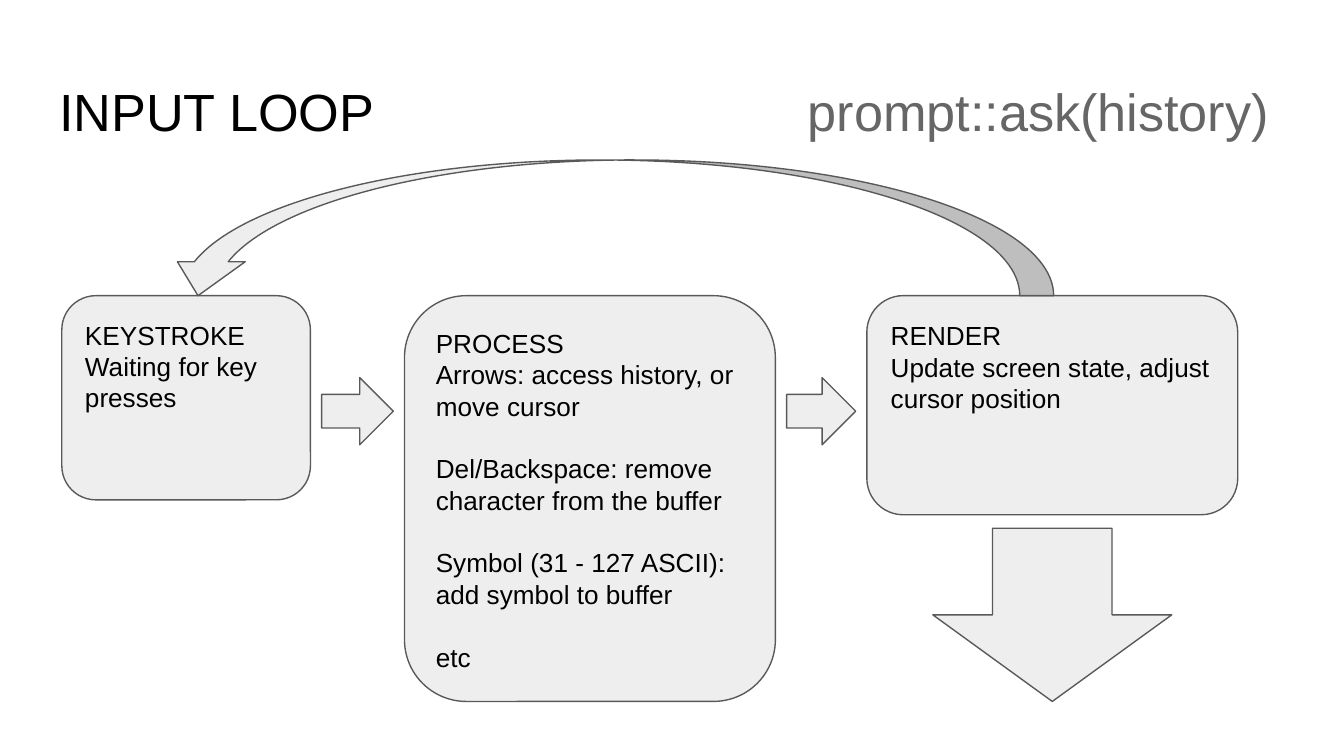
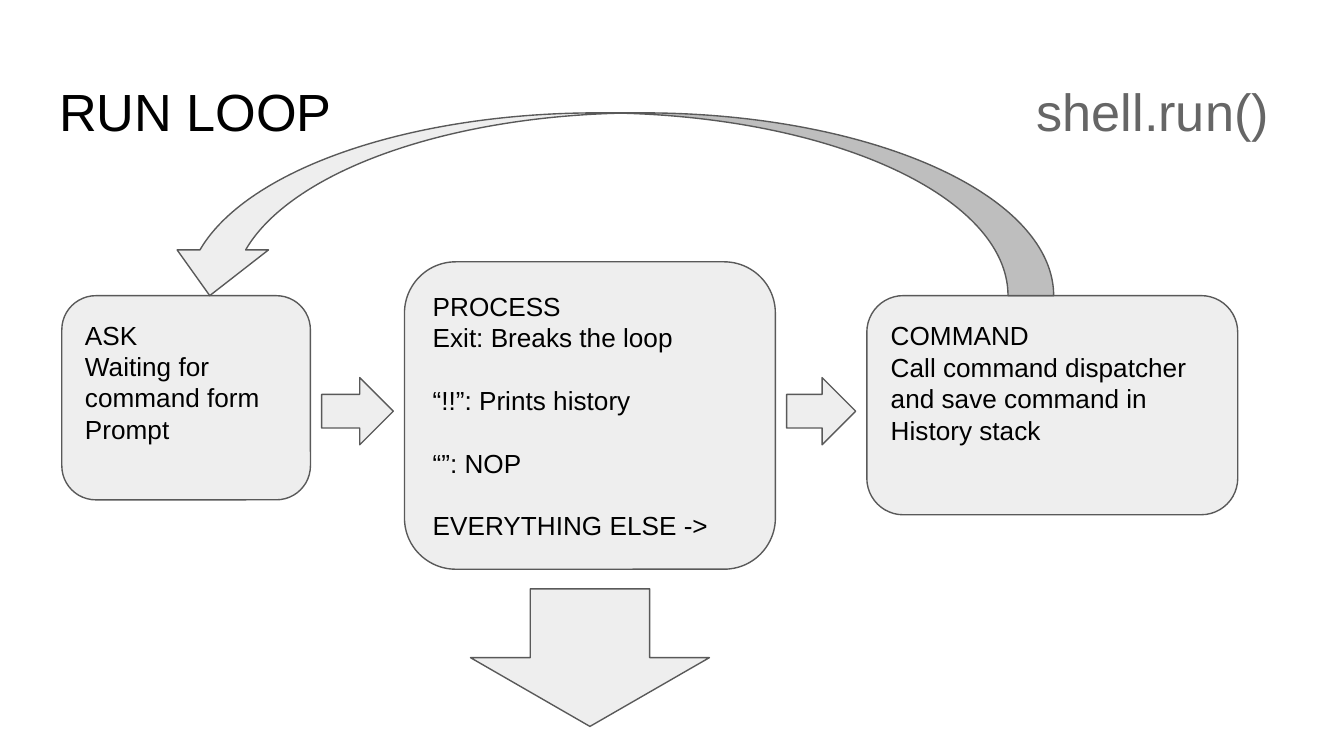
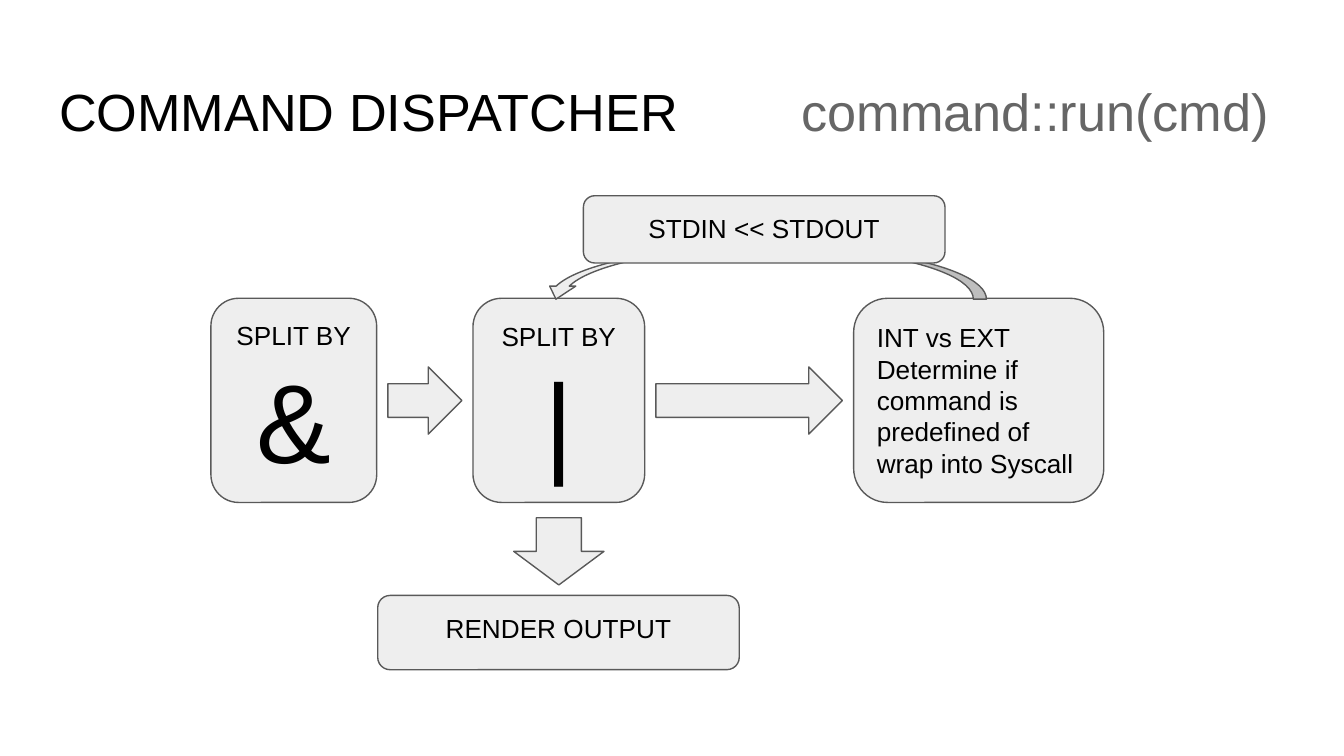
from lxml import etree
from pptx import Presentation
from pptx.dml import color
from pptx.enum import shapes, text
from pptx.oxml import ns
from pptx.util import Pt

COLORS = {"ink": "000000", "code": "666666", "fill": "EEEEEE", "line": "595959"}
FONT = "Arial"
BODY, SYMBOL, TITLE = 14, 60, 28
INSET = 7.2
GROUP_GAP = 16.8
ARROW_GAP = 6
ARROW_H = 36
CODE_TAB = 648
LABEL_W = 193.7
TITLE_BOX = (24.5, 35.3, 671, 45.4)
SHAPE = shapes.MSO_SHAPE

KEY_BOX = (33.1, 158.4, 133.2, 109.4)
RIGHT_BOX = (464.4, 158.4, 198.7, 117.4)

SLIDES = [
    {
        "title": ("INPUT LOOP", "prompt::ask(history)"),
        "steps": [
            (KEY_BOX, [["KEYSTROKE", "Waiting for key presses"]]),
            ((216.7, 158.4, 198.7, 217.4), [
                ["PROCESS", "Arrows: access history, or move cursor"],
                ["Del/Backspace: remove character from the buffer"],
                ["Symbol (31 - 127 ASCII): add symbol to buffer"],
                ["etc"],
            ]),
            (RIGHT_BOX, [["RENDER", "Update screen state, adjust cursor position"]]),
        ],
        "arrow_y": 220.3,
        "exit": {"step": 2, "top": 283, "size": (128, 92.8)},
        "loop": (87.9, 85.7, 476.6, 72.7),
        "labels": [],
    },
    {
        "title": ("RUN LOOP", "shell.run()"),
        "steps": [
            (KEY_BOX, [["ASK", "Waiting for command form Prompt"]]),
            ((216.7, 140.3, 198.7, 164.7), [
                ["PROCESS", "Exit: Breaks the loop"],
                ["“!!”: Prints history"],
                ["“”: NOP"],
                ["EVERYTHING ELSE ->"],
            ]),
            (RIGHT_BOX, [["COMMAND", "Call command dispatcher and save command in "
                          "History stack"]]),
        ],
        "arrow_y": 220.3,
        "exit": {"step": 1, "top": 315.5, "size": (128, 73.7)},
        "loop": (87.9, 60.5, 476.6, 97.9),
        "labels": [],
    },
    {
        "title": ("COMMAND DISPATCHER", "command::run(cmd)"),
        "steps": [
            ((113, 159.8, 88.8, 109.4), [["SPLIT BY", "&"]]),
            ((253.4, 159.8, 92, 109.4), [["SPLIT BY", "|"]]),
            ((457.3, 159.8, 134, 109.4), [
                ["INT vs EXT", "Determine if command is predefined of wrap into Syscall"],
            ]),
        ],
        "arrow_y": 214.6,
        "exit": {"step": 1, "top": 277.4, "size": (48.4, 36)},
        "loop": (290.9, 132.3, 237.6, 28),
        "labels": [("RENDER OUTPUT", 299.2, 319, 39.8),
                   ("STDIN << STDOUT", 409.4, 104.9, 36)],
    },
]


def rgb(name):
    return color.RGBColor.from_string(COLORS[name])


def add_run(p, words, size, ink="ink"):
    r = p.add_run()
    r.text = words
    r.font.size = Pt(size)
    r.font.name = FONT
    r.font.color.rgb = rgb(ink)


def prepare_frame(tf):
    tf.word_wrap = True
    tf.auto_size = text.MSO_AUTO_SIZE.NONE
    tf.vertical_anchor = text.MSO_ANCHOR.TOP
    tf.margin_left = tf.margin_right = tf.margin_top = tf.margin_bottom = Pt(INSET)


def add_title(s, name, code):
    sp = s.shapes.title
    sp.left, sp.top, sp.width, sp.height = map(Pt, TITLE_BOX)
    prepare_frame(sp.text_frame)
    p = sp.text_frame.paragraphs[0]
    p.alignment = text.PP_ALIGN.LEFT
    tabs = etree.SubElement(p._p.get_or_add_pPr(), ns.qn("a:tabLst"))
    etree.SubElement(tabs, ns.qn("a:tab"), pos=str(Pt(CODE_TAB)), algn="r")
    add_run(p, name + "\t", TITLE)
    add_run(p, code, TITLE, "code")


def add_figure(s, kind, box):
    sp = s.shapes.add_shape(kind, *map(Pt, box))
    sp.shadow.inherit = False
    sp.fill.solid()
    sp.fill.fore_color.rgb = rgb("fill")
    sp.line.color.rgb = rgb("line")
    sp.line.width = Pt(0.75)
    return sp


def add_box(s, box, groups, centered=False):
    tf = add_figure(s, SHAPE.ROUNDED_RECTANGLE, box).text_frame
    prepare_frame(tf)
    p = None
    for g, group in enumerate(groups):
        for i, line in enumerate(group):
            p = tf.add_paragraph() if p else tf.paragraphs[0]
            p.alignment = text.PP_ALIGN.CENTER if centered else text.PP_ALIGN.LEFT
            if g and i == 0:
                p.space_before = Pt(GROUP_GAP)
            add_run(p, line, SYMBOL if len(line) == 1 else BODY)


def add_step_arrows(s, boxes, y):
    for (x, _, w, _), (next_x, *_) in zip(boxes, boxes[1:]):
        start = x + w + ARROW_GAP
        add_figure(s, SHAPE.RIGHT_ARROW,
                   (start, y - ARROW_H / 2, next_x - ARROW_GAP - start, ARROW_H))


def build(prs, content):
    s = prs.slides.add_slide(prs.slide_layouts[5])
    add_title(s, *content["title"])
    for box, groups in content["steps"]:
        add_box(s, box, groups, centered=len(groups[0][-1]) == 1)
    boxes = [box for box, _ in content["steps"]]
    add_step_arrows(s, boxes, content["arrow_y"])
    out = content["exit"]
    x, _, w, _ = boxes[out["step"]]
    add_figure(s, SHAPE.DOWN_ARROW,
               (x + w / 2 - out["size"][0] / 2, out["top"], *out["size"]))
    loop = add_figure(s, SHAPE.CURVED_DOWN_ARROW, content["loop"])
    loop._element.spPr.find(ns.qn("a:xfrm")).set("flipH", "1")
    for words, center, top, h in content["labels"]:
        add_box(s, (center - LABEL_W / 2, top, LABEL_W, h), [[words]], centered=True)


prs = Presentation()
prs.slide_width, prs.slide_height = Pt(720), Pt(405)
for content in SLIDES:
    build(prs, content)
prs.save("out.pptx")
